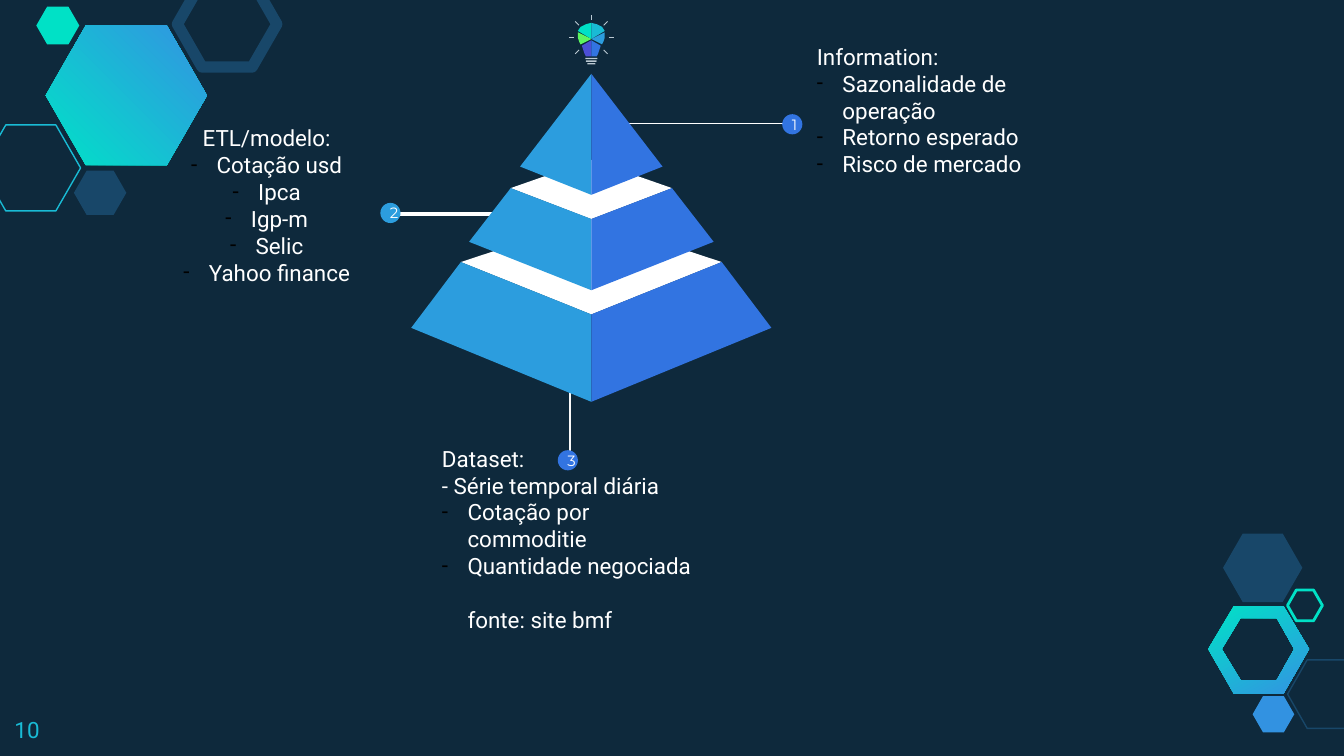
import math

from lxml import etree
from pptx import Presentation
from pptx.dml.color import RGBColor
from pptx.enum import shapes, text
from pptx.oxml.ns import qn
from pptx.util import Inches, Pt

WHITE, NAVY, STEEL = "FFFFFF", "0E293C", "184769"
TEAL, CYAN, SKY, BLUE = "00E1C6", "19BBD5", "2C9DDE", "3274E1"
GRADIENT = ("00E2C7", "3393E2")
SILVER = "BBC9D3"
INDENT = Inches(0.19)


def rgb(value):
    return RGBColor.from_string(value)


def paint(shape, fill=None, line=None, width=0.75, angle=0):
    """Fill with a hex colour, a pair of gradient colours or nothing."""
    shape.shadow.inherit = False
    if fill is None:
        shape.fill.background()
    elif isinstance(fill, tuple):
        shape.fill.gradient()
        shape.fill.gradient_angle = angle
        for stop, color, position in zip(shape.fill.gradient_stops, fill, (0, 1)):
            stop.color.rgb = rgb(color)
            stop.position = position
    else:
        shape.fill.solid()
        shape.fill.fore_color.rgb = rgb(fill)
    if line is None:
        shape.line.fill.background()
    else:
        shape.line.color.rgb = rgb(line)
        shape.line.width = Pt(width)


def add_preset(slide, kind, box, **style):
    shape = slide.shapes.add_shape(kind, *map(Inches, box))
    paint(shape, **style)
    return shape


def add_hexagon(slide, box, **style):
    shape = add_preset(slide, shapes.MSO_SHAPE.HEXAGON, box, **style)
    shape.adjustments[0] = 0.287


def add_outline(slide, origin, contours, fill, **style):
    """Draw closed contours whose points are relative to the origin."""
    placed = [[(Inches(origin[0] + x), Inches(origin[1] + y)) for x, y in contour]
              for contour in contours]
    builder = slide.shapes.build_freeform(*placed[0][0])
    for index, contour in enumerate(placed):
        if index:
            builder.move_to(*contour[0])
        builder.add_line_segments(contour[1:], close=True)
    paint(builder.convert_to_shape(), fill, **style)


def add_line(slide, start, end, color=WHITE, width=0.75):
    line = slide.shapes.add_connector(
        shapes.MSO_CONNECTOR.STRAIGHT, *map(Inches, (*start, *end)))
    line.line.color.rgb = rgb(color)
    line.line.width = Pt(width)
    etree.SubElement(line._element.spPr, qn("a:effectLst"))


def add_dash(paragraph):
    properties = paragraph._p.get_or_add_pPr()
    color = etree.SubElement(properties, qn("a:buClr"))
    etree.SubElement(color, qn("a:srgbClr"), val="000000")
    etree.SubElement(properties, qn("a:buFont"), typeface="Roboto")
    etree.SubElement(properties, qn("a:buChar"), char="-")


def add_text(slide, box, lines, size=12, font="Roboto", color=WHITE, align="LEFT",
             anchor="TOP", bottom=0.1):
    """Lines are strings; a pair adds "dash" or "indent" as its layout."""
    frame = slide.shapes.add_textbox(*map(Inches, box)).text_frame
    frame.word_wrap = True
    frame.vertical_anchor = text.MSO_ANCHOR[anchor]
    frame.margin_left = frame.margin_right = frame.margin_top = Inches(0.1)
    frame.margin_bottom = Inches(bottom)
    for index, line in enumerate(lines):
        words, layout = (line, None) if isinstance(line, str) else line
        paragraph = frame.paragraphs[0] if index == 0 else frame.add_paragraph()
        paragraph.alignment = text.PP_ALIGN[align]
        if layout:
            properties = paragraph._p.get_or_add_pPr()
            properties.set("marL", str(INDENT))
        if layout == "dash":
            properties.set("indent", str(-INDENT))
            add_dash(paragraph)
        elif layout == "indent":
            paragraph.space_before = Pt(14.4)
        run = paragraph.add_run()
        run.text = words
        run.font.size = Pt(size)
        run.font.name = font
        run.font.color.rgb = rgb(color)


def add_marker(slide, left, top, number, color):
    add_preset(slide, shapes.MSO_SHAPE.OVAL, (left, top, 0.15, 0.15), fill=color)
    add_text(slide, (left - 0.02, top - 0.06, 0.19, 0.23), [number], size=8,
             font="Montserrat", align="CENTER")


def add_top_hexagons(slide, left, top):
    add_hexagon(slide, (left + 0.34, top + 0.19, 1.2, 1.04), fill=GRADIENT, angle=45)
    add_hexagon(slide, (left - 0.14, top + 0.93, 0.74, 0.64), line=CYAN)
    add_hexagon(slide, (left + 0.55, top + 1.27, 0.39, 0.33), fill=STEEL)
    add_hexagon(slide, (left + 1.32, top - 0.14, 0.74, 0.64), line=STEEL, width=6)
    add_hexagon(slide, (left + 0.27, top + 0.05, 0.32, 0.28), fill=TEAL)


def add_bottom_hexagons(slide, left, top):
    outer = [(0.19, 1.19), (0, 0.86), (0.19, 0.54), (0.56, 0.54), (0.75, 0.86), (0.56, 1.19)]
    inner = [(0.24, 1.09), (0.51, 1.09), (0.64, 0.86), (0.51, 0.63), (0.24, 0.63), (0.1, 0.86)]
    add_outline(slide, (left, top), [outer, inner], GRADIENT, angle=300)
    add_hexagon(slide, (left + 0.59, top + 0.94, 0.59, 0.51), line=STEEL)
    add_hexagon(slide, (left + 0.33, top + 1.21, 0.31, 0.27), fill="3292E1")
    add_hexagon(slide, (left + 0.11, top, 0.59, 0.51), fill=STEEL)
    add_hexagon(slide, (left + 0.59, top + 0.42, 0.26, 0.23), line=TEAL, width=1.5)


def mirror(points):
    return [(-x, y) for x, y in points]


def add_pyramid(slide, axis, top):
    """Stack three tiers, widest first, symmetric about the axis."""
    tiers = [
        ([(0, 1.08), (0.97, 1.4), (0, 1.79)], [(0.97, 1.4), (1.34, 1.89), (0, 2.44), (0, 1.79)]),
        ([(0, 0.64), (0.6, 0.85), (0, 1.08)], [(0.6, 0.85), (0.91, 1.25), (0, 1.61), (0, 1.08)]),
        (None, [(0, 0), (0.53, 0.69), (0, 0.9)]),
    ]
    for lid, face in tiers:
        if lid:
            add_outline(slide, (axis, top), [lid + mirror(lid[1:2])], WHITE)
        add_outline(slide, (axis, top), [mirror(face)], SKY)
        add_outline(slide, (axis, top), [face], BLUE)


def add_bulb(slide, axis, middle):
    for degrees in range(-135, 136, 45):
        x, y = math.sin(math.radians(degrees)), -math.cos(math.radians(degrees))
        add_line(slide, (axis + 0.13 * x, middle + 0.13 * y),
                 (axis + 0.17 * x, middle + 0.17 * y), SILVER, 0.5)
    for row, width in enumerate((0.09, 0.08, 0.06)):
        add_preset(slide, shapes.MSO_SHAPE.ROUNDED_RECTANGLE,
                   (axis - width / 2, middle + 0.15 + 0.02 * row, width, 0.01), fill=SILVER)
    facets = [
        ([(0, -0.11), (0.04, -0.1), (0.08, -0.08), (0.1, -0.05), (0, 0.01)], TEAL, CYAN),
        ([(0, 0.01), (0.1, -0.04), (0.1, 0), (0.09, 0.03), (0.08, 0.05)], "5CF55F", SKY),
        ([(0, 0.02), (0.07, 0.06), (0.05, 0.12), (0.04, 0.14), (0, 0.14)], "4C4ED5", BLUE),
    ]
    for facet, left_color, right_color in facets:
        add_outline(slide, (axis, middle), [mirror(facet)], left_color)
        add_outline(slide, (axis, middle), [facet], right_color)


def add_dataset(slide, left, top):
    add_line(slide, (left + 1.05, top - 0.87), (left + 1.05, top - 0.27), "F9F9F9")
    add_text(slide, (left, top, 2.18, 1.04),
             ["Dataset:", "- Série temporal diária", ("Cotação por commoditie", "dash"),
              ("Quantidade negociada", "dash"), ("fonte: site bmf", "indent")],
             anchor="MIDDLE", bottom=0.5)
    add_marker(slide, left + 0.96, top - 0.34, "3", BLUE)


def add_model(slide, left, top):
    items = ["Cotação usd", "Ipca", "Igp-m", "Selic", "Yahoo finance"]
    add_text(slide, (left, top, 1.67, 1.04),
             ["ETL/modelo:"] + [(item, "dash") for item in items],
             align="CENTER", anchor="MIDDLE", bottom=0.23)
    add_line(slide, (left + 2.53, top + 0.52), (left + 1.73, top + 0.52), width=2)
    add_marker(slide, left + 1.68, top + 0.44, "2", SKY)


def add_information(slide, left, top):
    items = ["Sazonalidade de operação", "Retorno esperado", "Risco de mercado"]
    add_line(slide, (left - 1.33, top + 0.52), (left - 0.02, top + 0.52))
    add_text(slide, (left, top, 2.05, 1.04),
             ["Information:"] + [(item, "dash") for item in items],
             anchor="MIDDLE", bottom=0.3)
    add_marker(slide, left - 0.16, top + 0.45, "1", BLUE)


def main():
    presentation = Presentation()
    presentation.slide_width = Inches(10)
    presentation.slide_height = Inches(10) * 9 // 16
    slide = presentation.slides.add_slide(presentation.slide_layouts[6])
    slide.background.fill.solid()
    slide.background.fill.fore_color.rgb = rgb(NAVY)

    add_bottom_hexagons(slide, 8.99, 3.97)
    add_top_hexagons(slide, 0, 0)
    add_text(slide, (0.01, 5.23, 0.6, 0.39), ["10"], color=CYAN)
    add_dataset(slide, 3.19, 3.69)
    add_model(slide, 1.15, 1.07)
    add_information(slide, 5.98, 0.4)
    add_pyramid(slide, 4.4, 0.55)
    add_bulb(slide, 4.4, 0.28)
    presentation.save("out.pptx")


if __name__ == "__main__":
    main()
